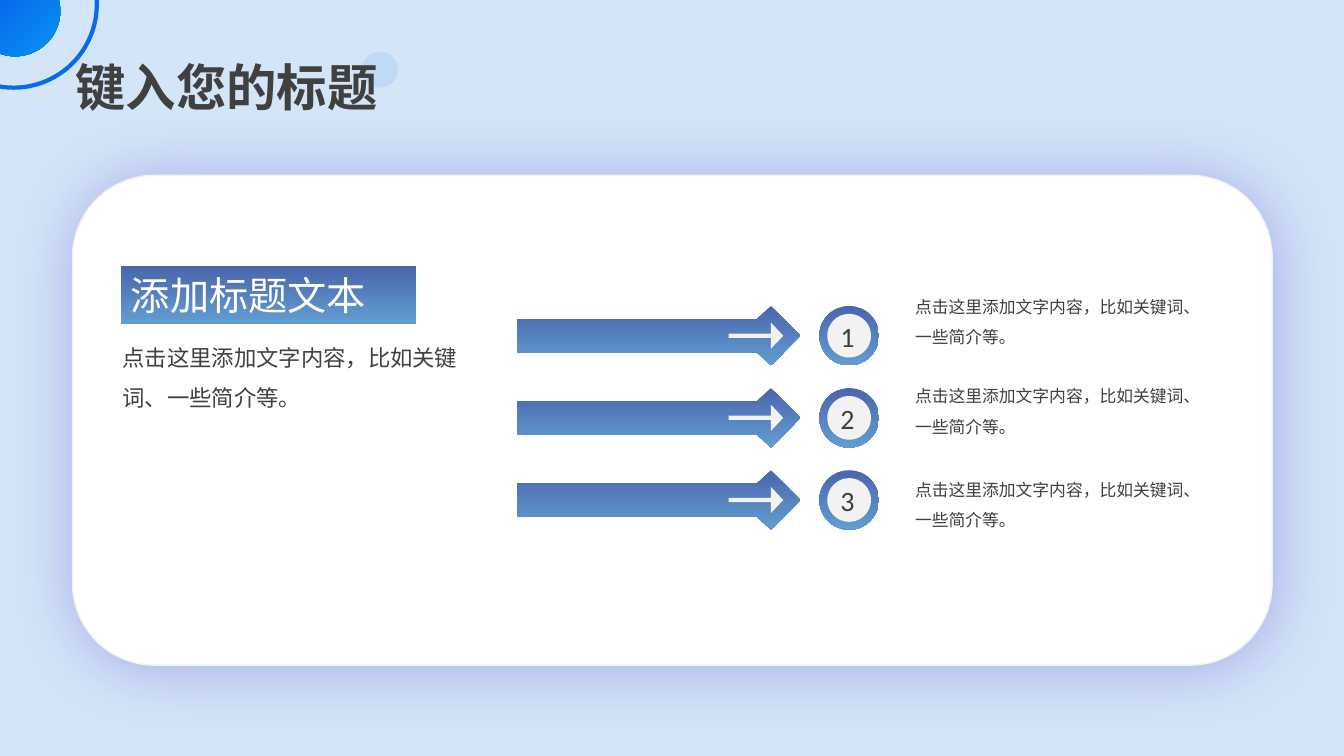
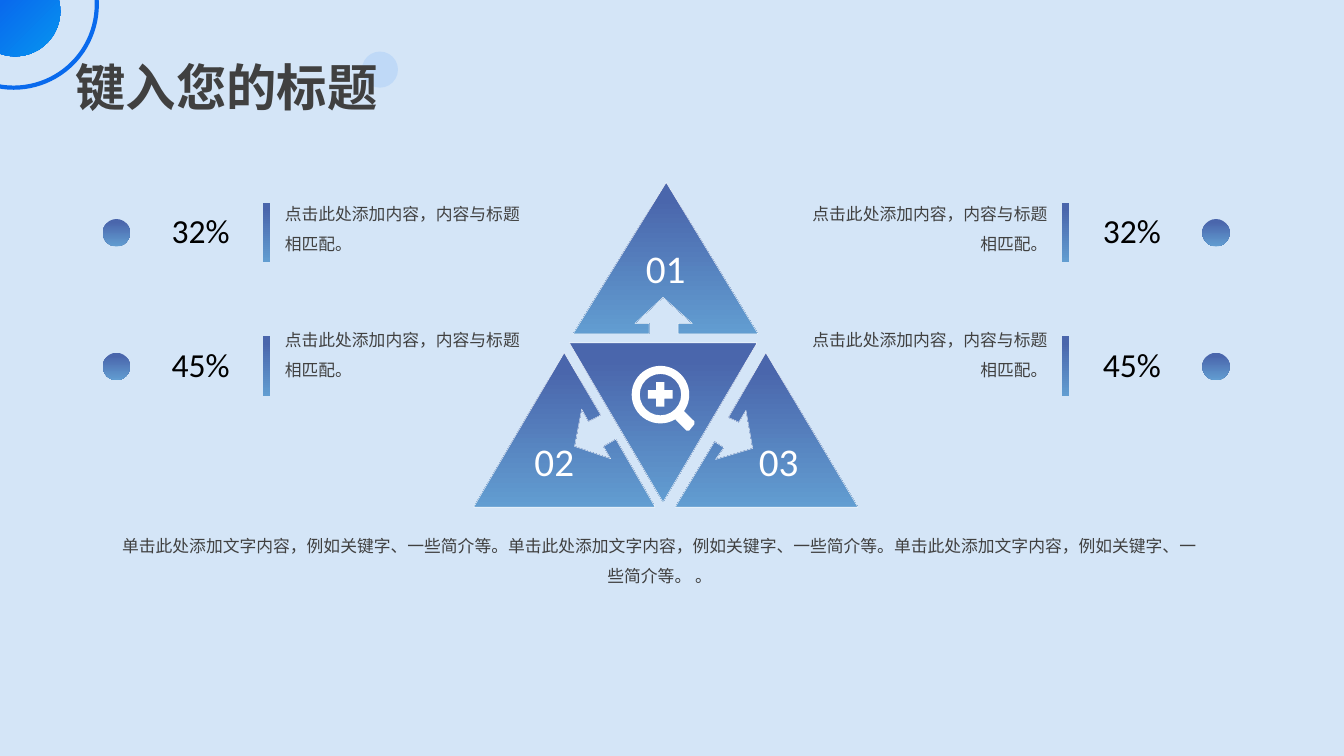
import math
from dataclasses import dataclass
from typing import Any, NamedTuple

from lxml import etree
from pptx import Presentation
from pptx import util as u
from pptx.dml.color import RGBColor
from pptx.enum import shapes, text
from pptx.oxml import ns

Form = shapes.MSO_SHAPE
Side = text.PP_ALIGN
Hold = text.MSO_ANCHOR


class Fade(NamedTuple):
    start: int
    first: str
    last: str
    angle: int


@dataclass(frozen=True)
class Theme:
    back: str = "D4E5F7"
    ink: str = "404040"
    black: str = "000000"
    white: str = "FFFFFF"
    pale: str = "F2F2F2"
    ring: str = "0695F0"
    dot: str = "7AB3FA"
    glow: str = "6151DE"
    steel: Fade = Fade(0, "4A66AC", "629DD1", 270)
    deep: Fade = Fade(11, "4A66AC", "629DD1", 270)
    sky: Fade = Fade(2, "096AED", "0695F0", 315)
    latin: str = "Calibri"
    asian: str = "Noto Sans CJK SC"
    title: int = 36
    head: int = 28
    rate: int = 24
    digit: int = 20
    lead: int = 16
    note: int = 12


T = Theme()


class Box(NamedTuple):
    x: float
    y: float
    w: float
    h: float

    def lengths(self) -> list[u.Length]:
        return [u.Cm(v) for v in self]


class Style(NamedTuple):
    size: int
    color: str = T.ink
    side: Any = Side.LEFT
    space: float = 1.0
    font: str = T.latin
    bold: bool = False


class Step(NamedTuple):
    label: str
    top: float


class Rate(NamedTuple):
    label: str
    top: float
    note: float


class Peak(NamedTuple):
    label: str
    points: list[tuple[float, float]]
    inset: tuple[float, float, float, float]


NOTE = Style(T.note, space=1.5)
HINT = "点击这里添加文字内容，比如关键词、一些简介等。"
MATCH = "点击此处添加内容，内容与标题相匹配。"
CLICK = "单击此处添加文字内容，例如关键字、一些简介等。"
MIRROR = 33.58

STEPS = [Step("1", 7.09), Step("2", 9.35), Step("3", 11.71)]
RATES = [Rate("32%", 5.11, 4.75), Rate("45%", 8.48, 7.92)]
PEAKS = [
    Peak("01", [(16.79, 4.6), (19.1, 8.41), (17.09, 8.41), (17.09, 8.15),
                (17.45, 8.15), (16.71, 7.49), (16, 8.15), (16.36, 8.15),
                (16.36, 8.41), (14.45, 8.41)], (0.25, 0.61, 0.25, 0.13)),
    Peak("03", [(19.3, 8.89), (21.62, 12.78), (17.02, 12.78), (18.01, 11.13),
                (18.24, 11.28), (18.03, 11.58), (18.97, 11.3), (18.8, 10.34),
                (18.62, 10.64), (18.36, 10.52)], (0.61, 1.7, 0, 0.13)),
    Peak("02", [(14.22, 8.89), (15.14, 10.46), (14.83, 10.62), (14.66, 10.31),
                (14.48, 11.25), (15.39, 11.56), (15.21, 11.25), (15.52, 11.07),
                (16.51, 12.78), (11.94, 12.78)], (0, 1.7, 0.51, 0.13)),
]
CORE = [(14.35, 8.64), (19.08, 8.64), (16.71, 12.65)]
GRIP = [(17.02, 10.57), (17.3, 10.85), (17.37, 10.85), (17.5, 10.69),
        (17.5, 10.62), (17.22, 10.34)]


def paint(shape: Any, fill: str | Fade | None, line: str | None = None,
          width: float = 1) -> Any:
    shape.shadow.inherit = False
    if fill is None:
        shape.fill.background()
    elif isinstance(fill, Fade):
        shape.fill.gradient()
        shape.fill.gradient_angle = fill.angle
        first, last = shape.fill.gradient_stops
        first.color.rgb = RGBColor.from_string(fill.first)
        first.position = fill.start / 100
        last.color.rgb = RGBColor.from_string(fill.last)
        last.position = 1
    else:
        shape.fill.solid()
        shape.fill.fore_color.rgb = RGBColor.from_string(fill)
    if line:
        shape.line.color.rgb = RGBColor.from_string(line)
        shape.line.width = u.Pt(width)
    else:
        shape.line.fill.background()
    return shape


def form(slide: Any, kind: Any, box: Box, fill: str | Fade | None,
         line: str | None = None, width: float = 1) -> Any:
    return paint(slide.shapes.add_shape(kind, *box.lengths()), fill, line, width)


def poly(slide: Any, points: list[tuple[float, float]], fill: str | Fade,
         line: str | None = None, width: float = 1) -> Any:
    spots = [(u.Cm(x), u.Cm(y)) for x, y in points]
    pen = slide.shapes.build_freeform(*spots[0])
    pen.add_line_segments(spots[1:], close=True)
    return paint(pen.convert_to_shape(), fill, line, width)


def write(shape: Any, words: str, style: Style, hold: Any = Hold.TOP) -> None:
    frame = shape.text_frame
    frame.text = words
    frame.vertical_anchor = hold
    para = frame.paragraphs[0]
    para.alignment = style.side
    para.line_spacing = style.space
    for run in para.runs:
        run.font.size = u.Pt(style.size)
        run.font.bold = style.bold
        run.font.color.rgb = RGBColor.from_string(style.color)
        run.font.name = style.font
        east = etree.SubElement(run.font._element, ns.qn("a:ea"))
        east.set("typeface", T.asian)


def label(slide: Any, box: Box, words: str, style: Style, wrap: bool = True,
          grow: bool = True) -> None:
    shape = slide.shapes.add_textbox(*box.lengths())
    write(shape, words, style)
    shape.text_frame.word_wrap = wrap
    if grow:
        shape.text_frame.auto_size = text.MSO_AUTO_SIZE.SHAPE_TO_FIT_TEXT


def fade(color: Any, share: int) -> None:
    etree.SubElement(color, ns.qn("a:alpha")).set("val", str(share * 1000))


def glow(shape: Any) -> None:
    effect = shape.element.spPr.find(ns.qn("a:effectLst"))
    cast = etree.SubElement(effect, ns.qn("a:outerShdw"))
    cast.set("blurRad", str(u.Pt(48)))
    cast.set("dist", str(u.Pt(3)))
    cast.set("dir", str(45 * 60000))
    cast.set("algn", "ctr")
    cast.set("rotWithShape", "0")
    color = etree.SubElement(cast, ns.qn("a:srgbClr"))
    color.set("val", T.glow)
    fade(color, 40)


def start(deck: Any) -> Any:
    slide = deck.slides.add_slide(deck.slide_layouts[6])
    dot = form(slide, Form.OVAL, Box(9.12, 1.3, 0.91, 0.91), T.dot)
    fade(dot.element.spPr.find(".//" + ns.qn("a:srgbClr")), 23)
    form(slide, Form.OVAL, Box(-1.75, -1.98, 4.19, 4.19), None, T.sky.first, 3)
    arc = [math.radians(-14 + 123.5 * i / 40) for i in range(41)]
    disc = [(max(0, 0.38 + 1.14 * math.cos(a)), max(0, 0.28 + 1.14 * math.sin(a)))
            for a in arc]
    poly(slide, disc + [(0, 0)], T.sky)
    label(slide, Box(1.65, 1.3, 9.35, 1.8), "键入您的标题",
          Style(T.title, font=T.asian, bold=True))
    return slide


def step(slide: Any, mid: float, item: Step) -> None:
    label(slide, Box(22.81, item.top, 8.03, 1.8), HINT, NOTE)
    poly(slide, [(20.17, mid), (19.43, mid - 0.75), (19.08, mid - 0.42),
                 (13.03, mid - 0.42), (13.03, mid + 0.42), (19.08, mid + 0.42),
                 (19.43, mid + 0.75)], T.steel)
    arrow = form(slide, Form.RIGHT_ARROW, Box(18.36, mid - 0.33, 1.38, 0.66), T.pale)
    arrow.adjustments[0] = 0.16
    arrow.adjustments[1] = 0.47
    form(slide, Form.OVAL, Box(20.65, mid - 0.75, 1.5, 1.5), T.steel)
    form(slide, Form.OVAL, Box(20.85, mid - 0.55, 1.1, 1.1), T.pale)
    label(slide, Box(20.93, mid - 0.54, 0.86, 1.12), item.label,
          Style(T.digit), wrap=False)


def rate(slide: Any, item: Rate, flip: bool) -> None:
    def place(x: float, y: float, w: float, h: float) -> Box:
        return Box(MIRROR - x - w if flip else x, y, w, h)

    form(slide, Form.OVAL, place(2.59, item.top + 0.41, 0.69, 0.69), T.deep)
    label(slide, place(3.76, item.top + 0.06, 2.59, 1.27), item.label,
          Style(T.rate, T.black, Side.CENTER))
    form(slide, Form.RECTANGLE, place(6.63, item.top, 0.18, 1.5), T.deep)
    side = Side.RIGHT if flip else Side.LEFT
    label(slide, place(6.93, item.note, 6.71, 1.8), MATCH, NOTE._replace(side=side))


def peak(slide: Any, item: Peak) -> None:
    shape = poly(slide, item.points, T.deep, T.white, 0.25)
    write(shape, item.label, Style(T.head, T.white, Side.CENTER), Hold.MIDDLE)
    frame = shape.text_frame
    (frame.margin_left, frame.margin_top, frame.margin_right,
     frame.margin_bottom) = [u.Cm(v) for v in item.inset]


def lens(slide: Any) -> None:
    form(slide, Form.CROSS, Box(16.33, 9.63, 0.62, 0.62), T.white).adjustments[0] = 0.33
    form(slide, Form.DONUT, Box(15.92, 9.22, 1.45, 1.45), T.white).adjustments[0] = 0.14
    poly(slide, GRIP, T.white)


def flow(deck: Any) -> None:
    slide = start(deck)
    glow(form(slide, Form.ROUNDED_RECTANGLE, Box(1.83, 4.42, 30.23, 12.34),
              T.white, T.pale))
    for i, item in enumerate(STEPS):
        step(slide, 8.46 + 2.07 * i, item)
    label(slide, Box(2.84, 8.2, 9.17, 2.31), HINT, Style(T.lead, space=1.5))
    band = form(slide, Form.RECTANGLE, Box(3.05, 6.71, 7.44, 1.45), T.steel)
    write(band, "添加标题文本", Style(T.head, T.white))


def cycle(deck: Any) -> None:
    slide = start(deck)
    for item in PEAKS:
        peak(slide, item)
    poly(slide, CORE, T.deep, T.white, 0.25)
    lens(slide)
    for flip in (False, True):
        for item in RATES:
            rate(slide, item, flip)
    label(slide, Box(2.64, 13.11, 27.97, 2.26), CLICK * 3 + " 。",
          NOTE._replace(side=Side.CENTER), grow=False)


def main() -> None:
    deck = Presentation()
    deck.slide_width, deck.slide_height = u.Cm(33.87), u.Cm(19.05)
    fill = deck.slide_master.background.fill
    fill.solid()
    fill.fore_color.rgb = RGBColor.from_string(T.back)
    flow(deck)
    cycle(deck)
    deck.save("out.pptx")


if __name__ == "__main__":
    main()
